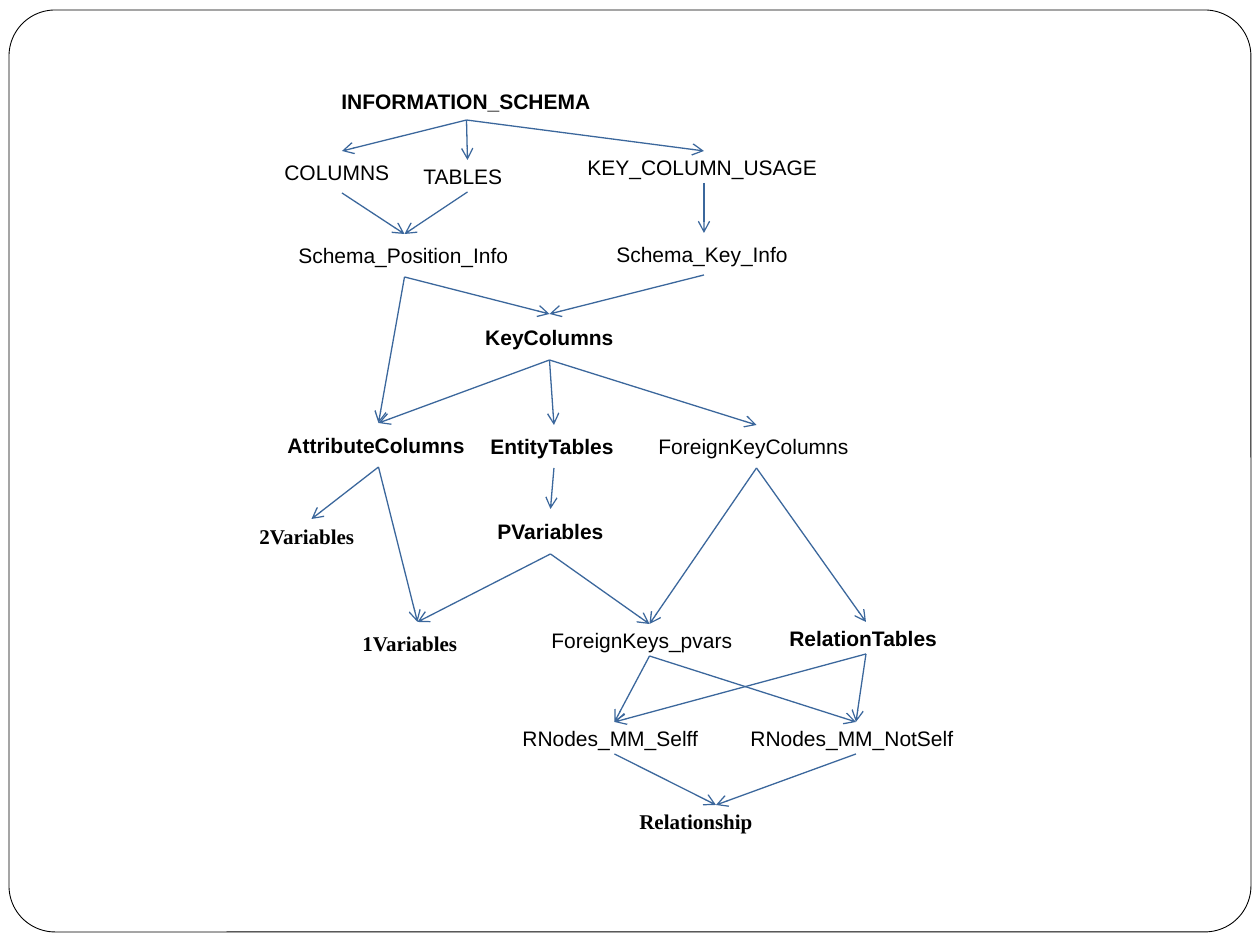
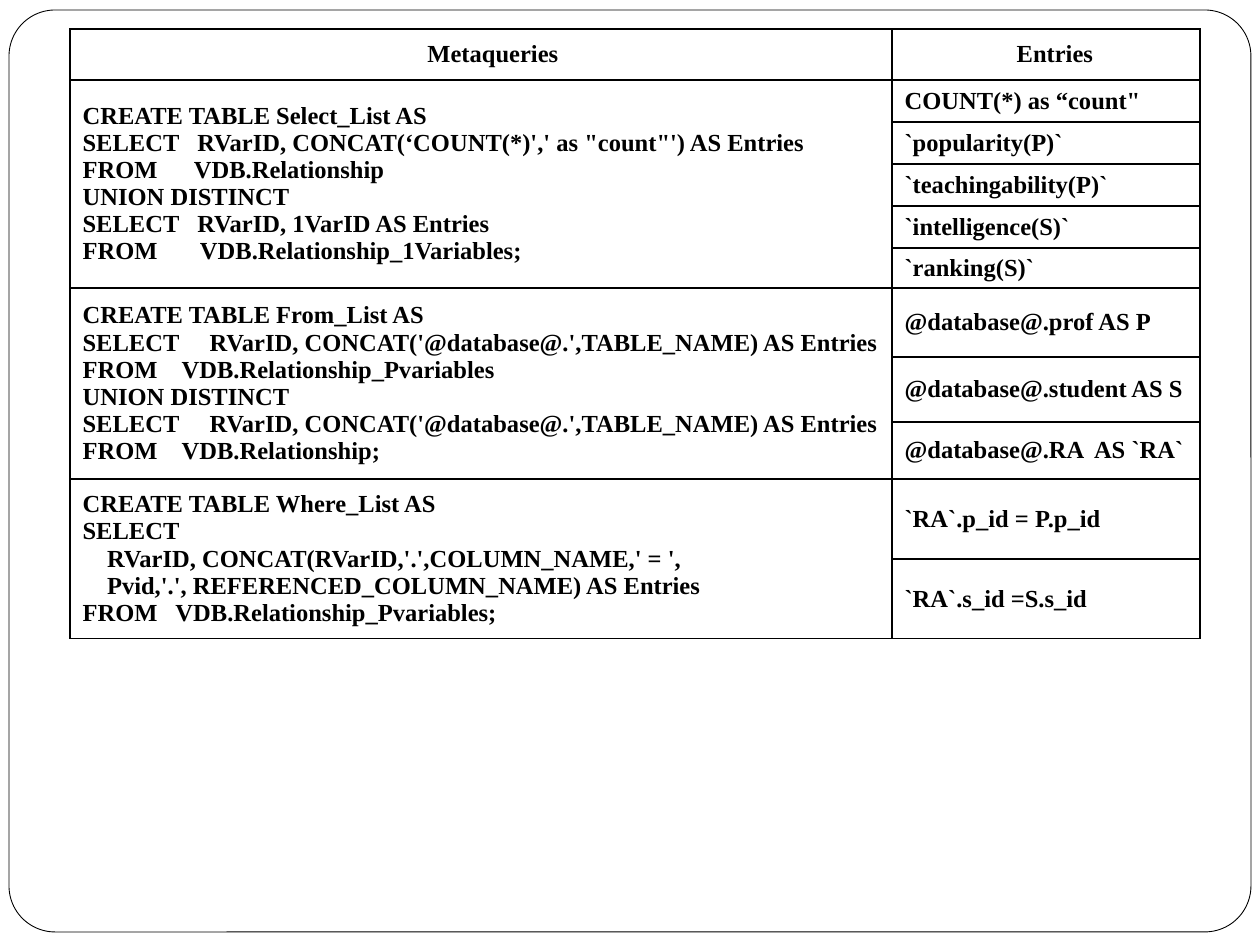
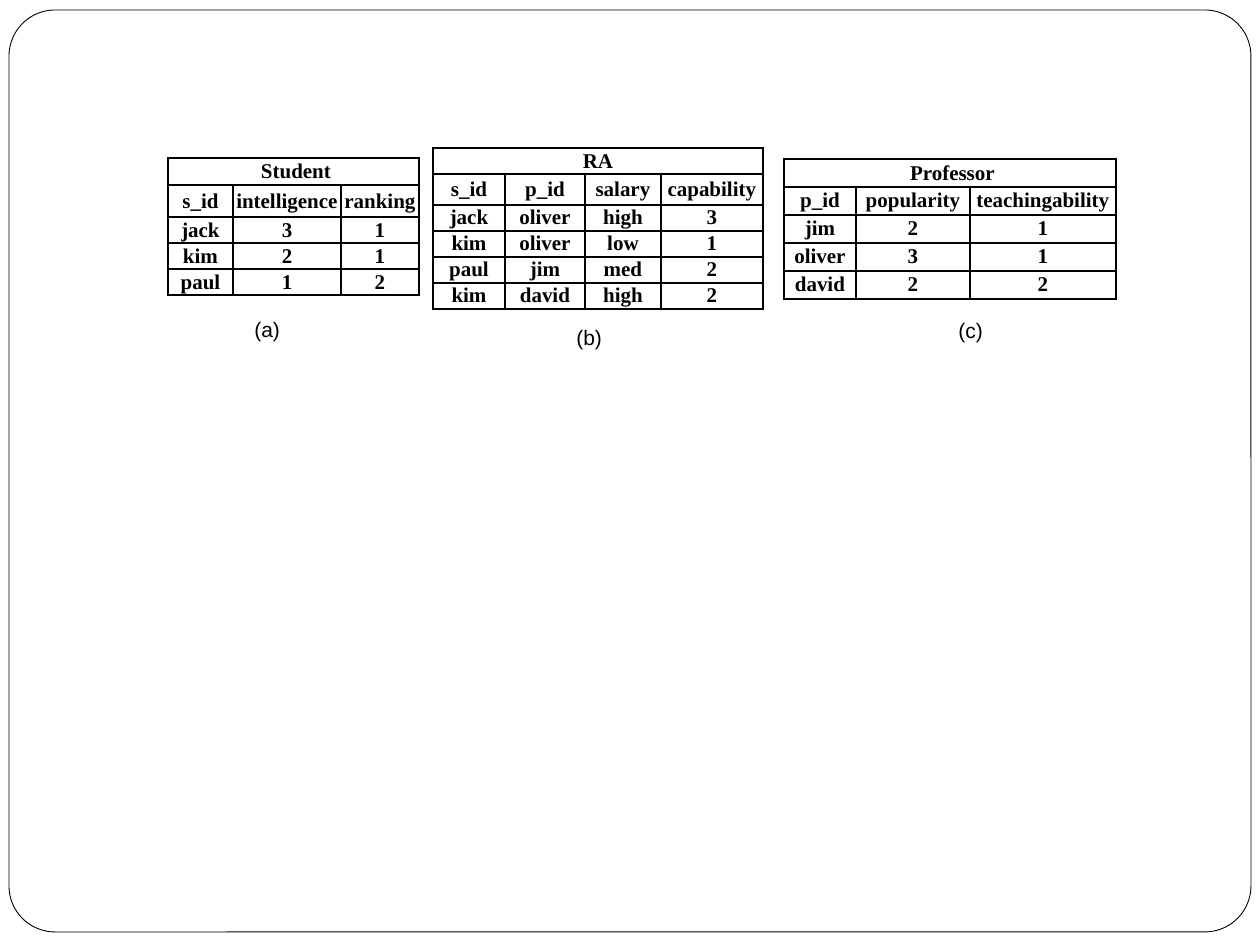
from lxml.etree import SubElement
from pptx import Presentation
from pptx.dml.color import RGBColor
from pptx.enum.shapes import MSO_CONNECTOR, MSO_SHAPE
from pptx.enum.text import MSO_ANCHOR, PP_ALIGN
from pptx.oxml.ns import qn
from pptx.util import Emu, Pt

PX_PER_INCH = 126
COLORS = {"paper": "FFFFFF", "ink": "000000", "arrow": "3B679C"}
SANS, SERIF = "Arial", "Times New Roman"
BOTTOM, TOP = 2, 0

# Schema diagram: name, x, y, width, height, font, bold, centred
NODES = [
    ("INFORMATION_SCHEMA", 329, 82, 275, 38, SANS, True, False),
    ("KEY_COLUMN_USAGE", 575, 151, 258, 32, SANS, False, False),
    ("COLUMNS", 272, 151, 140, 42, SANS, False, False),
    ("TABLES", 411, 160, 113, 32, SANS, False, False),
    ("Schema_Key_Info", 604, 233, 200, 42, SANS, False, False),
    ("Schema_Position_Info", 286, 234, 237, 43, SANS, False, False),
    ("KeyColumns", 450, 314, 199, 46, SANS, True, True),
    ("AttributeColumns", 275, 423, 207, 44, SANS, True, False),
    ("EntityTables", 478, 425, 152, 43, SANS, True, False),
    ("ForeignKeyColumns", 646, 425, 221, 43, SANS, False, False),
    ("PVariables", 461, 509, 179, 45, SANS, True, True),
    ("2Variables", 247, 519, 129, 35, SERIF, True, False),
    ("1Variables", 350, 622, 135, 43, SERIF, True, False),
    ("ForeignKeys_pvars", 539, 624, 221, 32, SANS, False, False),
    ("RelationTables", 777, 622, 178, 32, SANS, True, False),
    ("RNodes_MM_Selff", 510, 722, 209, 32, SANS, False, False),
    ("RNodes_MM_NotSelf", 738, 722, 236, 32, SANS, False, False),
    ("Relationship", 627, 805, 178, 33, SERIF, True, False),
]
EDGES = {
    "INFORMATION_SCHEMA": ["COLUMNS", "TABLES", "KEY_COLUMN_USAGE"],
    "COLUMNS": ["Schema_Position_Info"],
    "TABLES": ["Schema_Position_Info"],
    "KEY_COLUMN_USAGE": ["Schema_Key_Info"],
    "Schema_Key_Info": ["KeyColumns"],
    "Schema_Position_Info": ["KeyColumns", "AttributeColumns"],
    "KeyColumns": ["AttributeColumns", "EntityTables", "ForeignKeyColumns"],
    "AttributeColumns": ["2Variables", "1Variables"],
    "EntityTables": ["PVariables"],
    "PVariables": ["1Variables", "ForeignKeys_pvars"],
    "ForeignKeyColumns": ["ForeignKeys_pvars", "RelationTables"],
    "ForeignKeys_pvars": ["RNodes_MM_Selff", "RNodes_MM_NotSelf"],
    "RelationTables": ["RNodes_MM_Selff", "RNodes_MM_NotSelf"],
    "RNodes_MM_Selff": ["Relationship"],
    "RNodes_MM_NotSelf": ["Relationship"],
}

# Metaqueries: query text, then (entry, row height)
METAQUERIES = [
    ("""CREATE TABLE Select_List AS
SELECT   RVarID, CONCAT(‘COUNT(*)',' as "count"') AS Entries
FROM      VDB.Relationship
UNION DISTINCT
SELECT   RVarID, 1VarID AS Entries
FROM       VDB.Relationship_1Variables;""",
     [('COUNT(*) as “count"', 42), ("`popularity(P)`", 42),
      ("`teachingability(P)`", 42), ("`intelligence(S)`", 42),
      ("`ranking(S)`", 40)]),
    ("""CREATE TABLE From_List AS
SELECT     RVarID, CONCAT('@database@.',TABLE_NAME) AS Entries
FROM    VDB.Relationship_Pvariables
UNION DISTINCT
SELECT     RVarID, CONCAT('@database@.',TABLE_NAME) AS Entries
FROM    VDB.Relationship;""",
     [("@database@.prof AS P", 69), ("@database@.student AS S", 65),
      ("@database@.RA  AS `RA`", 57)]),
    ("""CREATE TABLE Where_List AS
SELECT
    RVarID, CONCAT(RVarID,'.',COLUMN_NAME,' = ',
    Pvid,'.', REFERENCED_COLUMN_NAME) AS Entries
FROM   VDB.Relationship_Pvariables;""",
     [("`RA`.p_id = P.p_id", 80), ("`RA`.s_id =S.s_id", 80)]),
]

# Relations: title, title indent, x, y, column widths,
# heights of title, head and body rows, rows
RELATIONS = [
    ("Student", 5, 168, 158, (65, 108, 78), (27, 32, 26),
     ["s_id intelligence ranking", "jack 3 1", "kim 2 1", "paul 1 2"]),
    ("RA", 0, 433, 148, (72, 80, 76, 102), (26, 31, 26),
     ["s_id p_id salary capability", "jack oliver high 3",
      "kim oliver low 1", "paul jim med 2", "kim david high 2"]),
    ("Professor", 5, 784, 159, (72, 114, 146), (28, 28, 28),
     ["p_id popularity teachingability", "jim 2 1", "oliver 3 1",
      "david 2 2"]),
]
CAPTIONS = [("(a)", 242, 310), ("(b)", 564, 318), ("(c)", 946, 311)]


def px(n):
    return Emu(round(n * 914400 / PX_PER_INCH))


def rgb(name):
    return RGBColor.from_string(COLORS[name])


def set_attrs(obj, **values):
    for name, value in values.items():
        setattr(obj, name, value)


def write(tf, text, size=12, font=SANS, bold=False, align=PP_ALIGN.LEFT):
    for i, line in enumerate(text.split("\n")):
        p = tf.add_paragraph() if i else tf.paragraphs[0]
        p.alignment = align
        r = p.add_run()
        r.text = line
        set_attrs(r.font, size=Pt(size), name=font, bold=bold)
        r.font.color.rgb = rgb("ink")


def add_slide(prs):
    """Blank slide with the shared rounded frame."""
    s = prs.slides.add_slide(prs.slide_layouts[6])
    sp = s.shapes.add_shape(MSO_SHAPE.ROUNDED_RECTANGLE,
                            px(9), px(10), px(1242), px(922))
    sp.adjustments[0] = 0.05
    sp.shadow.inherit = False
    sp.fill.solid()
    sp.fill.fore_color.rgb = rgb("paper")
    sp.line.color.rgb = rgb("ink")
    sp.line.width = Pt(0.5)
    return s


def add_label(s, text, x, y, w, h, font=SANS, bold=False, centred=False,
              anchor=MSO_ANCHOR.MIDDLE):
    sp = s.shapes.add_textbox(px(x), px(y), px(w), px(h))
    tf = sp.text_frame
    set_attrs(tf, word_wrap=True, vertical_anchor=anchor)
    if not centred:
        tf.margin_right = 0
    write(tf, text, font=font, bold=bold,
          align=PP_ALIGN.CENTER if centred else PP_ALIGN.LEFT)
    return sp


def add_arrow(s, start, end):
    c = s.shapes.add_connector(MSO_CONNECTOR.STRAIGHT, 0, 0, 0, 0)
    c.begin_connect(start, BOTTOM)
    c.end_connect(end, TOP)
    c.line.color.rgb = rgb("arrow")
    c.line.width = Pt(0.75)
    SubElement(c.line._get_or_add_ln(), qn("a:tailEnd"), type="arrow")
    SubElement(c._element.spPr, qn("a:effectLst"))


def add_grid(s, x, y, widths, heights, filled):
    """Empty table with thin black borders on every cell."""
    table = s.shapes.add_table(len(heights), len(widths), px(x), px(y),
                               px(sum(widths)), px(sum(heights))).table
    set_attrs(table, first_row=False, horz_banding=False)
    for column, w in zip(table.columns, widths):
        column.width = px(w)
    for row, h in zip(table.rows, heights):
        row.height = px(h)
    for cell in table.iter_cells():
        tcPr = cell._tc.get_or_add_tcPr()
        for side in ("lnL", "lnR", "lnT", "lnB"):
            ln = SubElement(tcPr, qn("a:" + side), w=str(Pt(1)))
            fill = SubElement(ln, qn("a:solidFill"))
            SubElement(fill, qn("a:srgbClr"), val=COLORS["ink"])
        if filled:
            cell.fill.solid()
            cell.fill.fore_color.rgb = rgb("paper")
        else:
            cell.fill.background()
    return table


def fill_cell(cell, text, size, centred=False, indent=0):
    cell.vertical_anchor = MSO_ANCHOR.MIDDLE
    if centred:
        set_attrs(cell, margin_left=px(1 + indent), margin_right=px(1),
                  margin_top=0, margin_bottom=0)
    write(cell.text_frame, text, size, SERIF, True,
          PP_ALIGN.CENTER if centred else PP_ALIGN.LEFT)


def add_metaqueries(s):
    heights = [51] + [h for _, entries in METAQUERIES for _, h in entries]
    table = add_grid(s, 70, 29, (822, 308), heights, True)
    fill_cell(table.cell(0, 0), "Metaqueries", 14, True, 24)
    fill_cell(table.cell(0, 1), "Entries", 14, True, 18)
    row = 1
    for query, entries in METAQUERIES:
        last = row + len(entries) - 1
        table.cell(row, 0).merge(table.cell(last, 0))
        fill_cell(table.cell(row, 0), query, 14)
        for i, (entry, _) in enumerate(entries):
            fill_cell(table.cell(row + i, 1), entry, 14)
        row = last + 1


def add_relation(s, title, indent, x, y, widths, row_heights, rows):
    title_h, head_h, body_h = row_heights
    heights = [title_h, head_h] + [body_h] * (len(rows) - 1)
    table = add_grid(s, x, y, widths, heights, False)
    table.cell(0, 0).merge(table.cell(0, len(widths) - 1))
    fill_cell(table.cell(0, 0), title, 12, True, indent)
    for i, row in enumerate(rows, 1):
        for j, value in enumerate(row.split()):
            fill_cell(table.cell(i, j), value, 12, True)


def main():
    prs = Presentation()
    prs.slide_width, prs.slide_height = px(1260), px(945)

    # Schema diagram
    s = add_slide(prs)
    nodes = {node[0]: add_label(s, *node) for node in NODES}
    for start, ends in EDGES.items():
        for end in ends:
            add_arrow(s, nodes[start], nodes[end])

    # Metaqueries and their entries
    add_metaqueries(add_slide(prs))

    # Example relations
    s = add_slide(prs)
    for relation in RELATIONS:
        add_relation(s, *relation)
    for text, x, y in CAPTIONS:
        add_label(s, text, x, y, 78, 38, anchor=MSO_ANCHOR.TOP)

    prs.save("out.pptx")


if __name__ == "__main__":
    main()
